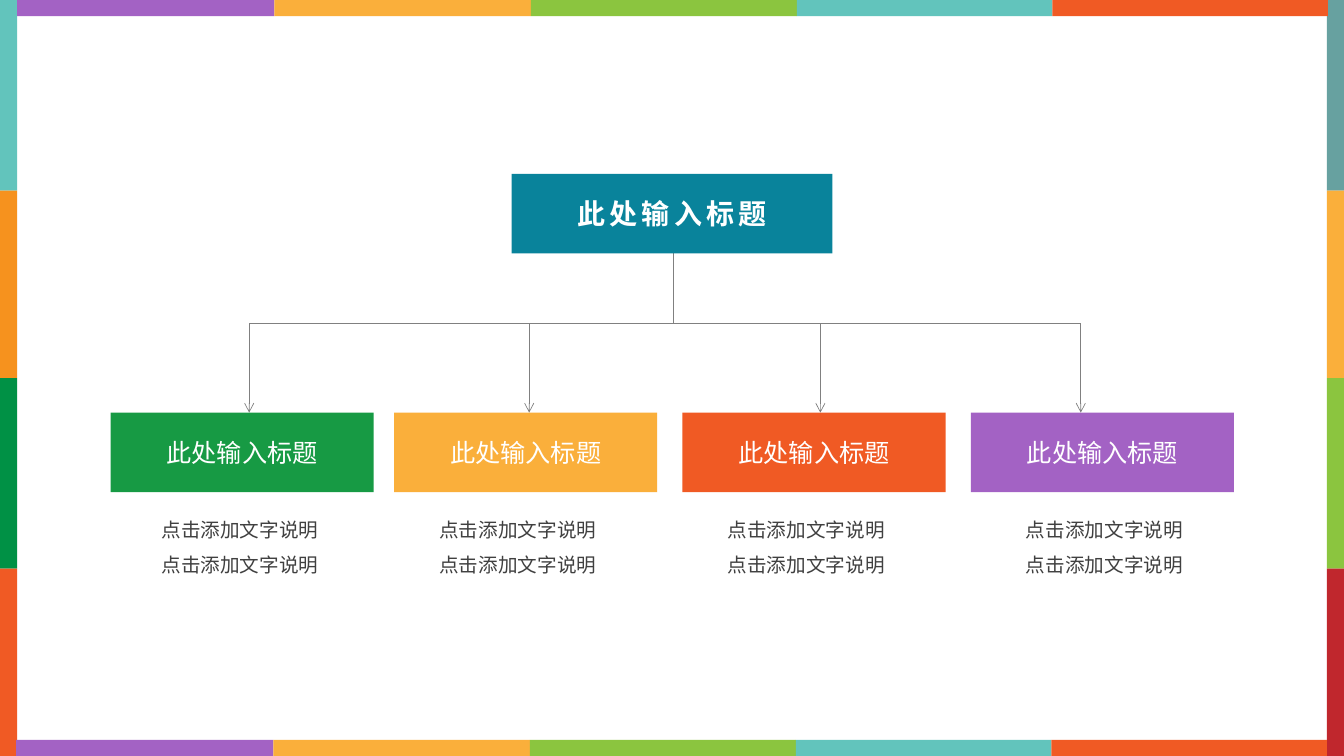
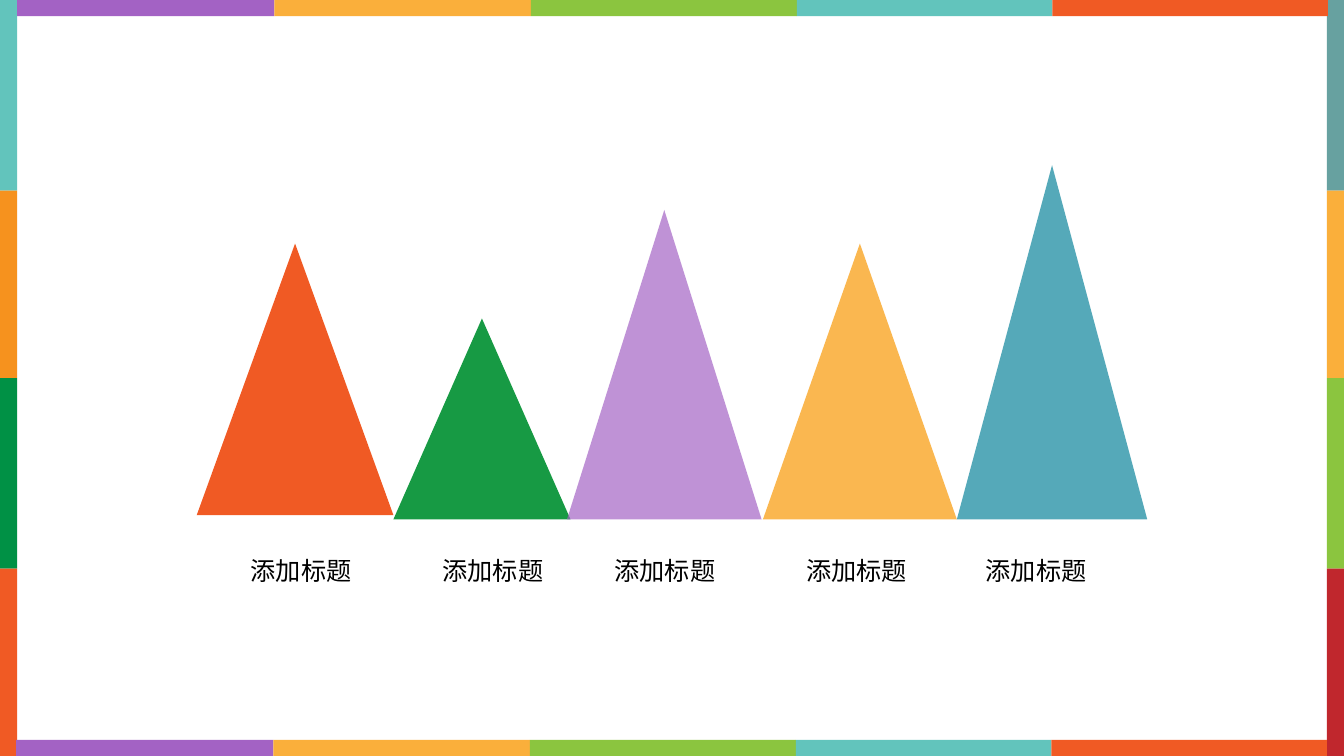
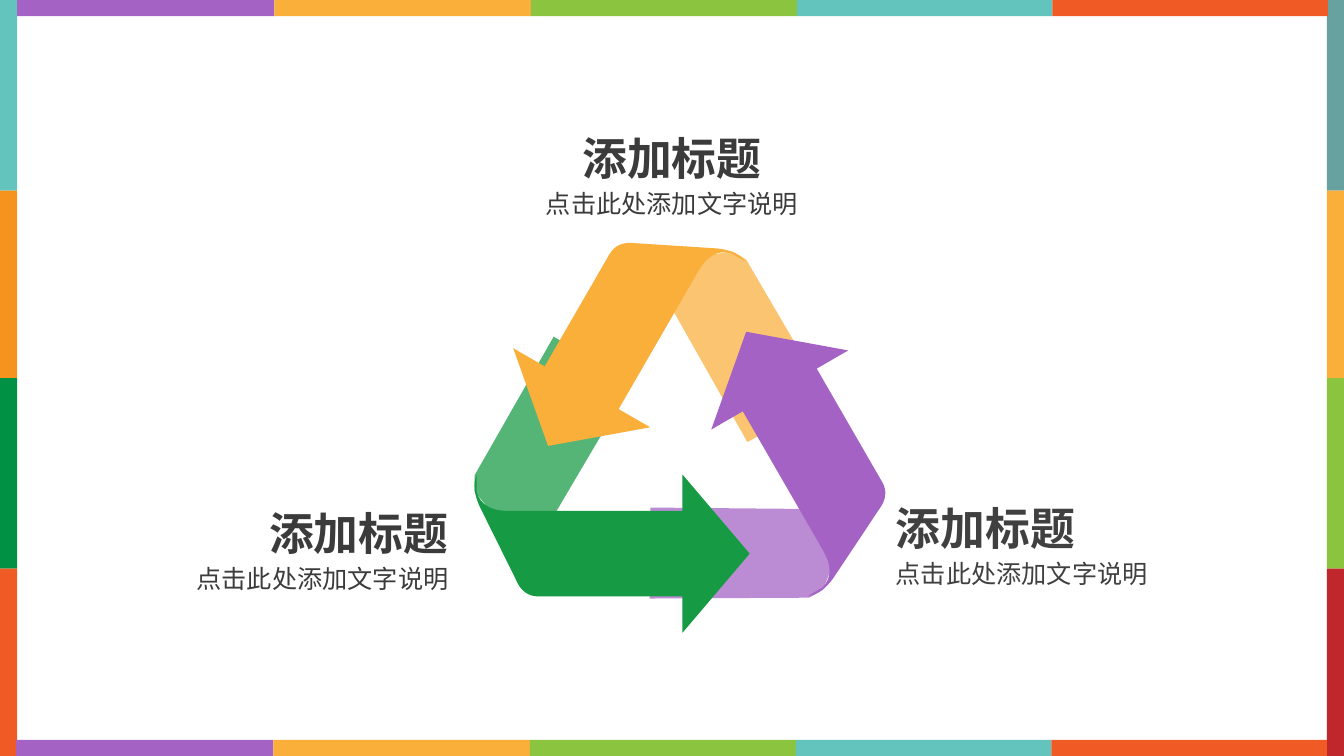
from dataclasses import dataclass
from itertools import pairwise
from math import cos, radians, sin

from lxml.etree import SubElement
from pptx import Presentation
from pptx.dml.color import RGBColor
from pptx.enum.shapes import MSO_CONNECTOR, MSO_SHAPE
from pptx.enum.text import MSO_ANCHOR, PP_ALIGN
from pptx.oxml.ns import qn
from pptx.util import Pt


@dataclass(frozen=True)
class Theme:
    wide: float = 960
    high: float = 540
    side: float = 12.25
    band: float = 11.5
    font: str = "Noto Sans CJK SC"
    latin: str = "Roboto"
    white: str = "FFFFFF"
    black: str = "000000"
    ink: str = "404040"
    dark: str = "3B3B3B"
    gray: str = "808080"
    teal: str = "09839B"
    green: str = "179A44"
    gold: str = "FAAF3B"
    red: str = "F05A24"
    plum: str = "A362C4"
    lime: str = "8BC53F"
    mint: str = "62C4BC"
    sage: str = "67A1A0"
    amber: str = "F6921E"
    leaf: str = "009145"
    wine: str = "C0272D"
    small: float = 14
    base: float = 18
    lead: float = 20
    head: float = 32
    hair: float = 0.5


LEFT, MID, RIGHT = PP_ALIGN.LEFT, PP_ALIGN.CENTER, PP_ALIGN.RIGHT


def bend(start, pull, end, steps=8):
    def blend(a, b, c, t):
        return (1 - t) ** 2 * a + 2 * t * (1 - t) * b + t ** 2 * c

    return [
        tuple(blend(a, b, c, i / steps) for a, b, c in zip(start, pull, end))
        for i in range(steps + 1)
    ]


@dataclass(frozen=True)
class Arrow:
    tip: tuple
    turn: float
    reach: float
    tint: str
    span: float = 113
    depth: float = 48
    half: float = 30.5

    def place(self, along, across):
        angle = radians(self.turn)
        x, y = self.tip
        return (
            x + along * cos(angle) - across * sin(angle),
            y + along * sin(angle) + across * cos(angle),
        )

    def trace(self, spots):
        return [self.place(along - self.reach, across) for along, across in spots]

    def shaft(self):
        neck = self.reach - self.depth + 10
        outer = bend((0, self.half), (-11, self.half), (-16, 18.5))
        crest = bend((-42, -34), (-48, -47.5), (-44, -56))
        inner = bend((-44, -44), (-40, -self.half), (-21.5, -self.half))
        ends = [(neck, -self.half), (neck, self.half)]
        return self.trace(outer + crest + inner + ends)

    def ribbon(self):
        inside = [(67, -122), (-7, 3.5)]
        outside = [(-45.5, -44.5), (-45.5, -56), (11, -155)]
        return self.trace(inside + outside)

    def barb(self):
        x, y = self.place(-self.depth / 2, 0)
        return x - self.span / 2, y - self.depth / 2, self.span, self.depth


class Deck:
    def __init__(self, theme):
        self.theme = theme
        self.prs = Presentation()
        self.prs.slide_width = Pt(theme.wide)
        self.prs.slide_height = Pt(theme.high)
        self.shapes = None

    def page(self):
        slide = self.prs.slides.add_slide(self.prs.slide_layouts[6])
        self.shapes = slide.shapes
        self.frame()

    def frame(self):
        t = self.theme
        rows = [0, 136.25, 270, 406.25, t.high]
        sides = (
            (0, (t.mint, t.amber, t.leaf, t.red)),
            (t.wide - t.side, (t.sage, t.gold, t.lime, t.wine)),
        )
        for x, tints in sides:
            for (top, end), tint in zip(pairwise(rows), tints):
                self.block(x, top, t.side, end - top, tint)
        cols = [t.side, 196, 379.25, 569.25, 751.75, t.wide - t.side + 0.75]
        tints = (t.plum, t.gold, t.lime, t.mint, t.red)
        for y, shift in ((0, 0), (t.high - t.band, -0.75)):
            for (left, end), tint in zip(pairwise(cols), tints):
                self.block(left + shift, y, end - left, t.band, tint)

    def paint(self, shape, tint, alpha=100):
        shape.shadow.inherit = False
        shape.fill.solid()
        shape.fill.fore_color.rgb = RGBColor.from_string(tint)
        shape.line.fill.background()
        if alpha < 100:
            color = next(shape.element.spPr.iter(qn("a:srgbClr")))
            SubElement(color, qn("a:alpha")).set("val", str(alpha * 1000))
        return shape

    def block(self, x, y, w, h, tint, alpha=100, kind=MSO_SHAPE.RECTANGLE, turn=0):
        shape = self.shapes.add_shape(kind, Pt(x), Pt(y), Pt(w), Pt(h))
        shape.rotation = turn
        return self.paint(shape, tint, alpha)

    def peak(self, x, y, w, h, tint, alpha=100, turn=0):
        return self.block(x, y, w, h, tint, alpha, MSO_SHAPE.ISOSCELES_TRIANGLE, turn)

    def patch(self, spots, tint, alpha=100):
        first, *rest = [(Pt(x), Pt(y)) for x, y in spots]
        pen = self.shapes.build_freeform(*first)
        pen.add_line_segments(rest, close=True)
        return self.paint(pen.convert_to_shape(), tint, alpha)

    def line(self, x, y, to_x, to_y, arrow=False):
        wire = self.shapes.add_connector(
            MSO_CONNECTOR.STRAIGHT, Pt(x), Pt(y), Pt(to_x), Pt(to_y))
        wire.line.width = Pt(self.theme.hair)
        wire.line.color.rgb = RGBColor.from_string(self.theme.gray)
        props = wire.element.spPr
        if arrow:
            SubElement(props.find(qn("a:ln")), qn("a:tailEnd")).set("type", "arrow")
        SubElement(props, qn("a:effectLst"))

    def style(self, frame, size, tint, bold=False, align=MID, font=None, space=None, gap=0):
        for para in frame.paragraphs:
            para.alignment = align
            para.line_spacing = space
            for run in para.runs:
                run.font.size = Pt(size)
                run.font.bold = bold
                run.font.color.rgb = RGBColor.from_string(tint)
                run.font.name = font or self.theme.font
                props = run.font.fill and run._r.get_or_add_rPr()
                SubElement(props, qn("a:ea")).set("typeface", self.theme.font)
                if gap:
                    props.set("spc", str(gap * 100))

    def box(self, x, y, w, h, fill, text, size, **look):
        frame = self.block(x, y, w, h, fill).text_frame
        frame.vertical_anchor = MSO_ANCHOR.MIDDLE
        frame.text = text
        self.style(frame, size, self.theme.white, **look)

    def text(self, x, y, w, h, text, size, tint, wrap=True, **look):
        frame = self.shapes.add_textbox(Pt(x), Pt(y), Pt(w), Pt(h)).text_frame
        frame.word_wrap = wrap
        frame.text = text
        self.style(frame, size, tint, **look)


def tree(deck):
    t = deck.theme
    deck.page()
    title = "此处输入标题"
    note = "\n".join(["点击添加文字说明"] * 2)
    root, stem, bus, top = 124.25, 481, 231, 294.75
    wide, tall = 188, 56.75
    nodes = (
        (79, 178, 72, t.green),
        (281.5, 378, 270.5, t.gold),
        (487.5, 586, 476.5, t.red),
        (693.5, 772, 689.5, t.plum),
    )
    drops = [drop for left, drop, edge, tint in nodes]
    deck.line(drops[0], bus, drops[-1], bus)
    deck.line(stem, root + tall, stem, bus)
    deck.box(365.5, root, 229, tall, t.teal, title, t.lead, bold=True, gap=3)
    for left, drop, edge, tint in nodes:
        deck.line(drop, bus, drop, top, arrow=True)
        deck.box(left, top, wide, tall, tint, title, t.base)
        deck.text(edge, 357.75, 199, 56, note, t.small, t.ink, space=1.5)


def peaks(deck):
    t = deck.theme
    deck.page()
    foot = 371
    hills = (
        (140.5, 174, 140.5, foot - 3, t.red, 100, 170.5),
        (281, 227.5, 126.5, foot, t.green, 100, 307.5),
        (405, 150, 139, foot, t.plum, 69, 430.5),
        (545, 174, 138.5, foot, t.gold, 89, 567.5),
        (683.5, 118, 136, foot, t.teal, 69, 695.5),
    )
    for left, top, wide, base, tint, alpha, edge in hills:
        deck.peak(left, top, wide, base - top, tint, alpha)
        deck.text(edge, 393, 93, 29, "添加标题 ", t.base, t.black, wrap=False, font=t.latin)


def cycle(deck):
    t = deck.theme
    deck.page()
    arrows = (
        Arrow((391.5, 318.5), 120, 140.5, t.gold),
        Arrow((533, 237), 240, 141.5, t.plum),
        Arrow((535.5, 395.5), 0, 151, t.green),
    )
    for arrow in arrows:
        deck.patch(arrow.ribbon(), arrow.tint, 73)
    for arrow in arrows:
        deck.peak(*arrow.barb(), arrow.tint, turn=arrow.turn + 90)
        deck.patch(arrow.shaft(), arrow.tint)
    notes = (
        (126, 358, RIGHT, t.dark),
        (632.75, 354, LEFT, t.ink),
        (379.25, 90, MID, t.dark),
    )
    wide, tall, drop = 201.5, 46, 41
    for left, top, align, tint in notes:
        deck.text(left, top, wide, tall, "添加标题", t.head, tint, bold=True, align=align)
        deck.text(left, top + drop, wide, 29, "点击此处添加文字说明", t.base, tint, align=align)


def main():
    deck = Deck(Theme())
    for draw in (tree, peaks, cycle):
        draw(deck)
    deck.prs.save("out.pptx")


if __name__ == "__main__":
    main()
